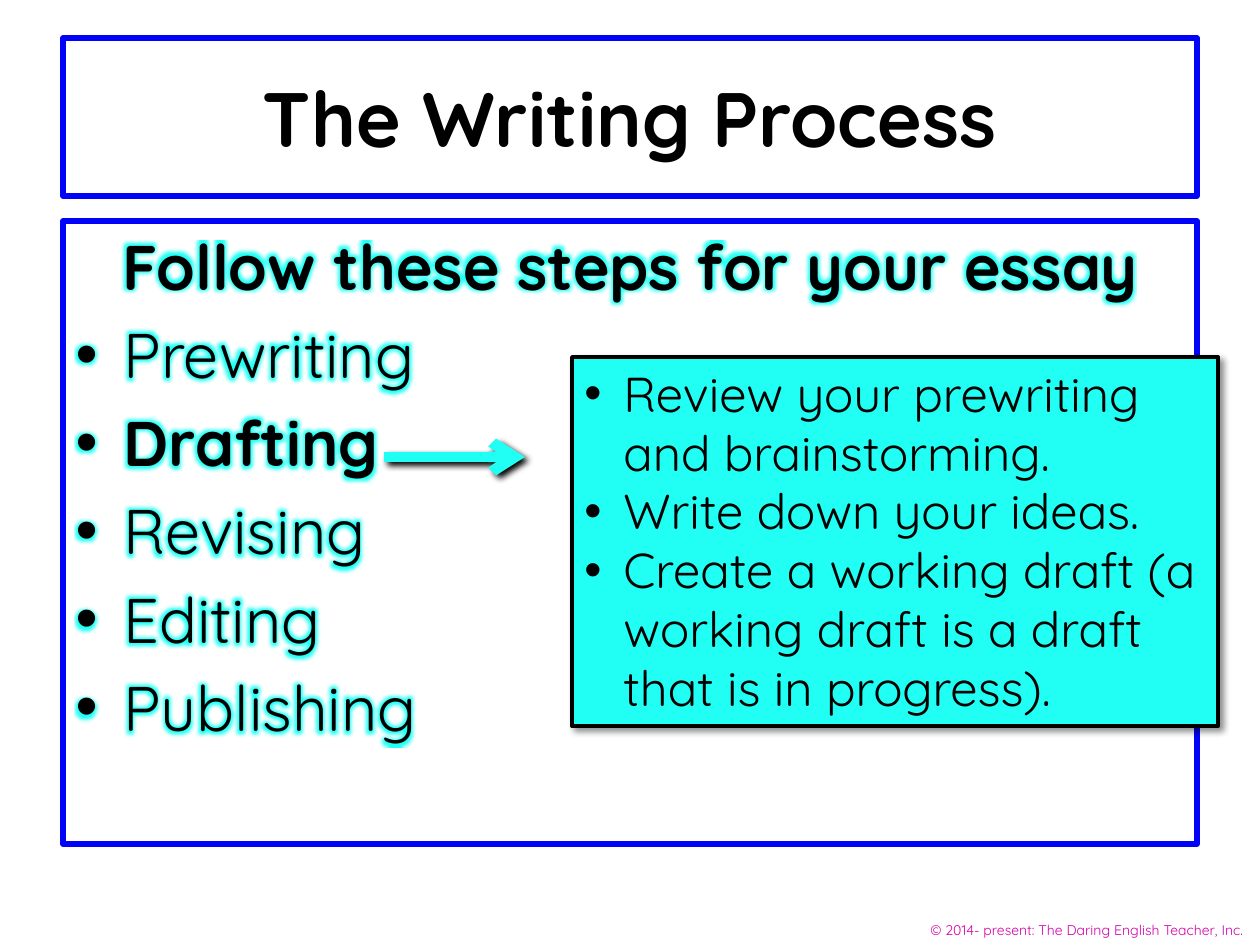
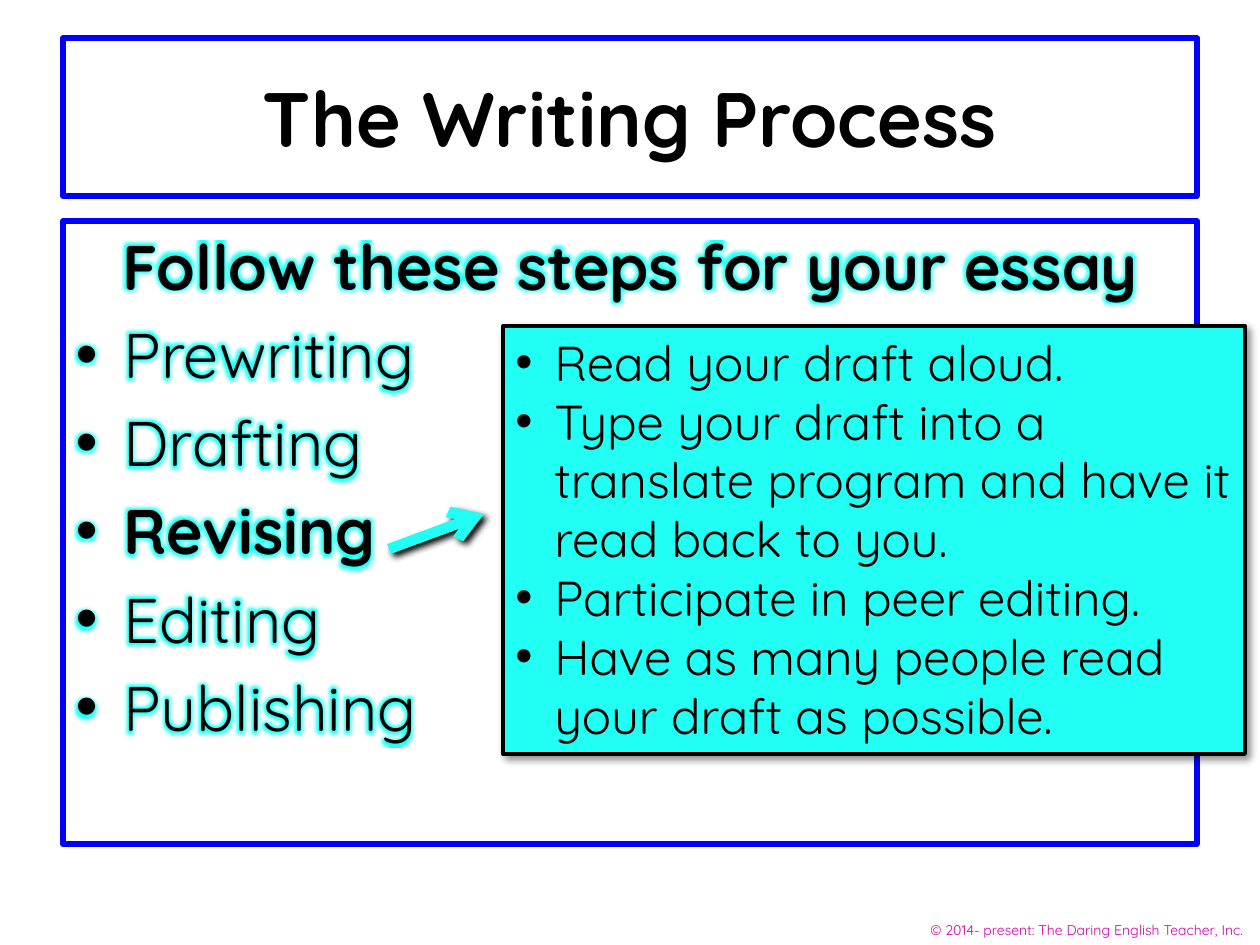
from dataclasses import dataclass

from lxml import etree
from pptx import Presentation
from pptx import util as u
from pptx.dml.color import RGBColor
from pptx.enum import shapes, text
from pptx.oxml import ns

EMU_PER_PX = 914400 / 126


@dataclass(frozen=True)
class Theme:
    font: str = "Quicksand"
    ink: str = "000000"
    paper: str = "FFFFFF"
    frame: str = "0002FA"
    accent: str = "21FFF5"
    copyright: str = "D400A9"
    title_size: int = 44
    body_size: int = 36
    note_size: int = 28
    copyright_size: int = 8


THEME = Theme()
STEPS = ["Prewriting", "Drafting", "Revising", "Editing", "Publishing"]
BODY_INDENT = 48
NOTE_INDENT = 39


def px(length):
    return u.Emu(round(length * EMU_PER_PX))


def child(parent, tag, **attributes):
    element = etree.SubElement(parent, ns.qn(tag))
    for name, value in attributes.items():
        element.set(name, str(value))
    return element


def colour_child(parent, colour, alpha):
    """Add a colour with its opacity in percent."""
    child(child(parent, "a:srgbClr", val=colour), "a:alpha", val=alpha * 1000)


def add_shadow(shape, alpha):
    properties = shape.element.spPr
    for effects in properties.findall(ns.qn("a:effectLst")):
        properties.remove(effects)
    shadow = child(child(properties, "a:effectLst"), "a:outerShdw",
                   blurRad=u.Pt(4), dist=u.Pt(3), dir=45 * 60000,
                   algn="tl", rotWithShape=0)
    colour_child(shadow, THEME.ink, alpha)


def add_glow(run):
    effects = etree.Element(ns.qn("a:effectLst"))
    colour_child(child(effects, "a:glow", rad=u.Pt(5)), THEME.accent, 100)
    run.font.fill._xPr.find(ns.qn("a:solidFill")).addnext(effects)


def set_bullet(paragraph, indent):
    """Hang the paragraph on a bullet, or clear the bullet if indent is 0."""
    properties = paragraph._p.get_or_add_pPr()
    properties.set("marL", str(px(indent)))
    properties.set("indent", str(-px(indent)))
    if indent:
        child(properties, "a:buFont", typeface="Arial")
        child(properties, "a:buChar", char="•")
    else:
        child(properties, "a:buNone")


def write(paragraph, words, *, size, colour=THEME.ink, bold=False,
          align=text.PP_ALIGN.LEFT, indent=0, before=0, glow=False):
    set_bullet(paragraph, indent)
    paragraph.alignment = align
    paragraph.space_before = u.Pt(before)
    run = paragraph.add_run()
    run.text = words
    run.font.name = THEME.font
    run.font.size = u.Pt(size)
    run.font.bold = bold
    run.font.color.rgb = RGBColor.from_string(colour)
    if glow:
        add_glow(run)


def place(shape, left, top, width, height):
    shape.left, shape.top = px(left), px(top)
    shape.width, shape.height = px(width), px(height)


def paint(shape, fill, line, weight):
    shape.fill.solid()
    shape.fill.fore_color.rgb = RGBColor.from_string(fill)
    shape.line.color.rgb = RGBColor.from_string(line)
    shape.line.width = u.Pt(weight)


def prepare_frame(shape, anchor, fit):
    frame = shape.text_frame
    frame.word_wrap = True
    frame.vertical_anchor = anchor
    frame.auto_size = fit
    return frame


def add_copyright(slide):
    box = slide.shapes.add_textbox(px(806), px(915), px(454), px(30))
    frame = prepare_frame(box, text.MSO_ANCHOR.TOP,
                          text.MSO_AUTO_SIZE.SHAPE_TO_FIT_TEXT)
    write(frame.paragraphs[0],
          "© 2014- present: The Daring English Teacher, Inc. ",
          size=THEME.copyright_size, colour=THEME.copyright,
          align=text.PP_ALIGN.RIGHT)


def fill_title(slide):
    title = slide.shapes.title
    place(title, 63, 38, 1134, 158)
    paint(title, THEME.paper, THEME.frame, 3)
    frame = prepare_frame(title, text.MSO_ANCHOR.MIDDLE,
                          text.MSO_AUTO_SIZE.NONE)
    write(frame.paragraphs[0], "The Writing Process", size=THEME.title_size,
          bold=True, align=text.PP_ALIGN.CENTER)


def fill_steps(slide, current_step):
    body = slide.placeholders[1]
    place(body, 63, 221, 1134, 623)
    paint(body, THEME.paper, THEME.frame, 3)
    frame = prepare_frame(body, text.MSO_ANCHOR.TOP, text.MSO_AUTO_SIZE.NONE)
    write(frame.paragraphs[0], "Follow these steps for your essay",
          size=THEME.body_size, bold=True, align=text.PP_ALIGN.CENTER,
          glow=True)
    for step in STEPS:
        write(frame.add_paragraph(), step, size=THEME.body_size,
              bold=step == current_step, indent=BODY_INDENT,
              before=THEME.body_size * 0.2, glow=True)


def add_arrow(slide, start, end):
    arrow = slide.shapes.add_connector(
        shapes.MSO_CONNECTOR.STRAIGHT, *map(px, start + end))
    arrow.line.color.rgb = RGBColor.from_string(THEME.accent)
    arrow.line.width = u.Pt(6)
    child(arrow.line._get_or_add_ln(), "a:tailEnd", type="arrow")
    add_shadow(arrow, 100)


def add_note(slide, bounds, points):
    note = slide.shapes.add_shape(shapes.MSO_SHAPE.RECTANGLE,
                                  *map(px, bounds))
    paint(note, THEME.accent, THEME.ink, 2.25)
    add_shadow(note, 43)
    frame = prepare_frame(note, text.MSO_ANCHOR.TOP,
                          text.MSO_AUTO_SIZE.SHAPE_TO_FIT_TEXT)
    for index, point in enumerate(points):
        paragraph = frame.add_paragraph() if index else frame.paragraphs[0]
        write(paragraph, point, size=THEME.note_size, indent=NOTE_INDENT)


def add_step_slide(presentation, step, arrow, bounds, points):
    slide = presentation.slides.add_slide(presentation.slide_layouts[1])
    add_copyright(slide)
    fill_title(slide)
    fill_steps(slide, step)
    add_arrow(slide, *arrow)
    add_note(slide, bounds, points)


def main():
    presentation = Presentation()
    presentation.slide_width, presentation.slide_height = px(1260), px(945)
    add_step_slide(
        presentation, "Drafting", ((384, 457), (525, 457)),
        (572, 357, 646, 369),
        ["Review your prewriting and brainstorming.",
         "Write down your ideas.",
         "Create a working draft (a working draft is a draft that is in "
         "progress)."])
    add_step_slide(
        presentation, "Revising", ((389, 549), (484, 514)),
        (503, 326, 742, 428),
        ["Read your draft aloud.",
         "Type your draft into a translate program and have it read back "
         "to you.",
         "Participate in peer editing.",
         "Have as many people read your draft as possible."])
    presentation.save("out.pptx")


if __name__ == "__main__":
    main()
